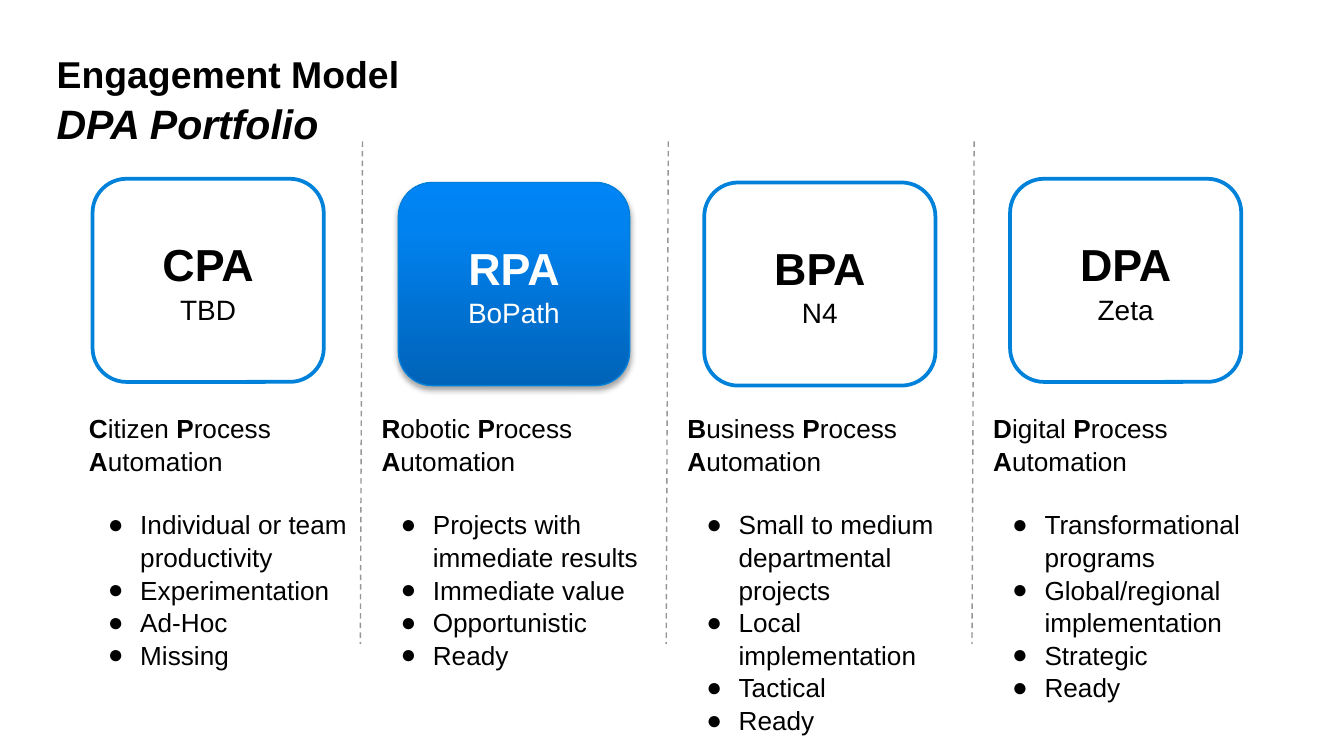
from copy import deepcopy
from dataclasses import dataclass

from lxml.etree import SubElement
from pptx import Presentation
from pptx.dml.color import RGBColor
from pptx.enum.dml import MSO_LINE
from pptx.enum.shapes import MSO_CONNECTOR, MSO_SHAPE
from pptx.enum.text import MSO_ANCHOR, MSO_AUTO_SIZE, PP_ALIGN
from pptx.oxml.ns import qn
from pptx.util import Cm, Pt


@dataclass(frozen=True)
class Theme:
    """Colours, type sizes and spacing of the slide."""
    font: str = "Arial"
    ink: str = "000000"
    paper: str = "FFFFFF"
    accent: str = "0082DA"
    accent_edge: str = "0080D9"
    rule: str = "969696"
    gradient: tuple = ((0, "0063B8"), (0.8, "0083F1"), (1, "0085F7"))
    title: int = 20
    subtitle: int = 22
    acronym: int = 24
    product: int = 15
    body: int = 14
    leading: float = 1.04


THEME = Theme()
PITCH = 5.78
COLUMNS = [
    ("CPA", "TBD", "Citizen Process Automation",
     ["Individual or team productivity", "Experimentation", "Ad-Hoc", "Missing"]),
    ("RPA", "BoPath", "Robotic Process Automation",
     ["Projects with immediate results", "Immediate value", "Opportunistic", "Ready"]),
    ("BPA", "N4", "Business Process Automation",
     ["Small to medium departmental projects", "Local implementation", "Tactical", "Ready"]),
    ("DPA", "Zeta", "Digital Process Automation",
     ["Transformational programs", "Global/regional implementation", "Strategic", "Ready"]),
]
CARD_TOPS = [3.38, 3.45, 3.45, 3.38]
LIST_LEFTS = [1.5] + [1.25 + PITCH * i for i in (1, 2, 3)]
HIGHLIGHT = "RPA"


def rgb(value):
    """Turn a hex string into a colour."""
    return RGBColor.from_string(value)


def style_run(r, size, bold=False, italic=False, color=THEME.ink):
    """Format one run."""
    r.font.name = THEME.font
    r.font.size = Pt(size)
    r.font.bold = bold
    r.font.italic = italic
    r.font.color.rgb = rgb(color)


def place(sp, left, top, width, height):
    """Move and size a shape, in centimetres."""
    sp.left, sp.top, sp.width, sp.height = (Cm(v) for v in (left, top, width, height))


def set_frame(tf, inset, anchor):
    """Set the insets, wrapping and anchor of a text frame."""
    tf.margin_left = tf.margin_right = tf.margin_top = tf.margin_bottom = Cm(inset)
    tf.word_wrap = True
    tf.auto_size = MSO_AUTO_SIZE.NONE
    tf.vertical_anchor = anchor


def set_paragraph(p, align=PP_ALIGN.LEFT, before=0):
    """Set the alignment and spacing of a paragraph."""
    p.alignment = align
    p.line_spacing = THEME.leading
    p.space_before = Pt(before)
    p.space_after = Pt(0)


def set_bullet(p, char=None):
    """Give a paragraph a hanging bullet, or none."""
    pPr = p._p.get_or_add_pPr()
    pPr.set("marL", str(Cm(0.97) if char else 0))
    pPr.set("indent", str(Cm(-0.61) if char else 0))
    if char:
        SubElement(SubElement(pPr, qn("a:buClr")), qn("a:srgbClr"), val=THEME.ink)
        SubElement(pPr, qn("a:buFont"), typeface=THEME.font)
        SubElement(pPr, qn("a:buChar"), char=char)
    else:
        SubElement(pPr, qn("a:buNone"))


def fill_title(sp):
    """Write the two-line title."""
    place(sp, 1.07, 0.94, 20.45, 2.72)
    tf = sp.text_frame
    set_frame(tf, 0, MSO_ANCHOR.TOP)
    tf.text = "Engagement Model\vDPA Portfolio"
    p = tf.paragraphs[0]
    set_paragraph(p)
    SubElement(p._p.find(qn("a:br")), qn("a:rPr"), sz=str(THEME.title * 100))
    style_run(p.runs[0], THEME.title, bold=True)
    style_run(p.runs[1], THEME.subtitle, bold=True, italic=True)


def add_gradient(sp):
    """Fill a shape with the theme gradient, running upwards."""
    sp.fill.gradient()
    sp.fill.gradient_angle = 90
    stops = sp._element.spPr.find(qn("a:gradFill")).find(qn("a:gsLst"))
    stops.append(deepcopy(stops[-1]))
    for stop, (position, color) in zip(sp.fill.gradient_stops, THEME.gradient):
        stop.position = position
        stop.color.rgb = rgb(color)


def add_shadow(sp):
    """Add a soft shadow below a shape."""
    effects = sp._element.spPr.find(qn("a:effectLst"))
    shadow = SubElement(effects, qn("a:outerShdw"), blurRad=str(Pt(3.1)),
                        dist=str(Pt(1.8)), dir="5400000", rotWithShape="0")
    color = SubElement(shadow, qn("a:srgbClr"), val=THEME.ink)
    SubElement(color, qn("a:alpha"), val="35000")


def add_card(s, left, top, acronym, product):
    """Add a rounded card with an acronym and a product name."""
    sp = s.shapes.add_shape(MSO_SHAPE.ROUNDED_RECTANGLE, Cm(left), Cm(top), Cm(4.37), Cm(3.84))
    sp.shadow.inherit = False
    strong = acronym == HIGHLIGHT
    if strong:
        add_gradient(sp)
        add_shadow(sp)
    else:
        sp.fill.solid()
        sp.fill.fore_color.rgb = rgb(THEME.paper)
    sp.line.color.rgb = rgb(THEME.accent_edge if strong else THEME.accent)
    sp.line.width = Pt(0.75 if strong else 2)
    tf = sp.text_frame
    set_frame(tf, 0.18, MSO_ANCHOR.MIDDLE)
    tf.text = f"{acronym}\n{product}"
    color = THEME.paper if strong else THEME.ink
    for p, size in zip(tf.paragraphs, (THEME.acronym, THEME.product)):
        set_paragraph(p, PP_ALIGN.CENTER)
        style_run(p.runs[0], size, bold=size == THEME.acronym, color=color)


def add_divider(s, x):
    """Add a slightly slanted dashed line between columns."""
    line = s.shapes.add_connector(MSO_CONNECTOR.STRAIGHT, Cm(x), Cm(2.67), Cm(x - 0.04), Cm(12.17))
    line.line.color.rgb = rgb(THEME.rule)
    line.line.width = Pt(0.75)
    line.line.dash_style = MSO_LINE.DASH
    SubElement(line._element.spPr, qn("a:effectLst"))


def add_initials(p, heading):
    """Write a heading with the first letter of each word in bold."""
    words = heading.split()
    for i, word in enumerate(words):
        rest = word[1:] + (" " if i < len(words) - 1 else "")
        for text, bold in ((word[0], True), (rest, False)):
            r = p.add_run()
            r.text = text
            style_run(r, THEME.body, bold=bold)


def fill_list(sp, left, heading, items):
    """Write a heading and its bullets in a body placeholder."""
    place(sp, left, 7.59, 5.36, 5.56)
    tf = sp.text_frame
    set_frame(tf, 0.18, MSO_ANCHOR.TOP)
    p = tf.paragraphs[0]
    set_bullet(p)
    set_paragraph(p)
    add_initials(p, heading)
    for i, item in enumerate(items):
        p = tf.add_paragraph()
        p.text = item
        set_bullet(p, "●")
        set_paragraph(p, before=0 if i else 16.8)
        style_run(p.runs[0], THEME.body)


def main():
    """Build the slide and save it."""
    prs = Presentation()
    prs.slide_width, prs.slide_height = Cm(25.4), Cm(14.29)
    s = prs.slides.add_slide(prs.slide_layouts.get_by_name("Comparison"))
    title, *bodies = s.placeholders
    fill_title(title)
    for i, (acronym, product, heading, items) in enumerate(COLUMNS):
        add_card(s, 1.75 + PITCH * i, CARD_TOPS[i], acronym, product)
        fill_list(bodies[i], LIST_LEFTS[i], heading, items)
        if i:
            add_divider(s, 6.85 + PITCH * (i - 1))
    prs.save("out.pptx")


if __name__ == "__main__":
    main()
